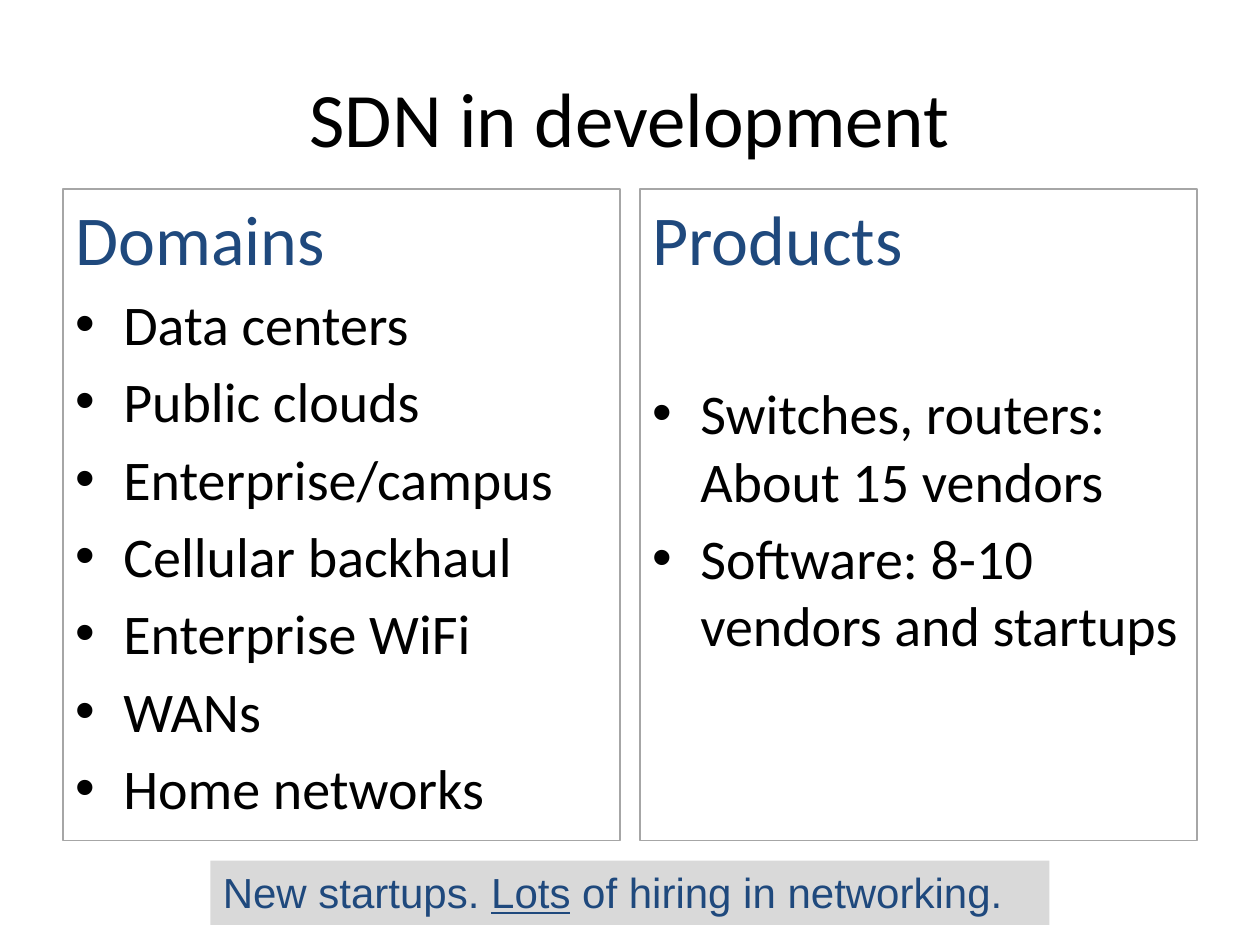
"""Build the slide on SDN in development: two framed lists and a closing note."""
from dataclasses import dataclass

from lxml import etree
from pptx import Presentation
from pptx import util as u
from pptx.dml.color import RGBColor
from pptx.enum import shapes, text
from pptx.oxml.ns import qn

COLOURS = {"ink": "000000", "navy": "1F497D", "frame": "A6A6A6", "band": "D9D9D9"}
MARGIN, PANEL_WIDTH = 0.5, 4.42
INDENT = 0.38
ITEM_GAP = 5.8


@dataclass
class Panel:
    """A framed list with its heading and the gap below that heading in points."""

    heading: str
    items: list[str]
    first_gap: float = ITEM_GAP


PANELS = [
    Panel("Domains", ["Data centers", "Public clouds", "Enterprise/campus", "Cellular backhaul",
                      "Enterprise WiFi", "WANs", "Home networks"]),
    Panel("Products", ["Switches, routers: About 15 vendors",
                       "Software: 8-10 vendors and startups"], first_gap=57),
]


def colour(name: str) -> RGBColor:
    """Look up a named colour."""
    return RGBColor.from_string(COLOURS[name])


def add_box(page, left: float, top: float, width: float, height: float,
            fill: str | None = None, line: str | None = None):
    """Add a plain rectangle that holds top-left text."""
    box = page.shapes.add_shape(shapes.MSO_SHAPE.RECTANGLE, u.Inches(left), u.Inches(top),
                                u.Inches(width), u.Inches(height))
    box.shadow.inherit = False
    if fill:
        box.fill.solid()
        box.fill.fore_color.rgb = colour(fill)
    else:
        box.fill.background()
    if line:
        box.line.color.rgb = colour(line)
        box.line.width = u.Pt(0.75)
    else:
        box.line.fill.background()
    box.text_frame.word_wrap = True
    box.text_frame.vertical_anchor = text.MSO_ANCHOR.TOP
    return box


def write(para, words: str, *, size: float, ink: str = "ink", font: str = "Calibri",
          align=text.PP_ALIGN.LEFT, underline: bool = False) -> None:
    """Append one formatted span to a paragraph."""
    para.alignment = align
    span = para.add_run()
    span.text = words
    span.font.size = u.Pt(size)
    span.font.name = font
    span.font.color.rgb = colour(ink)
    if underline:
        span.font.underline = True


def set_bullet(para) -> None:
    """Give a paragraph a round bullet and a hanging indent."""
    properties = para._p.get_or_add_pPr()
    properties.set("marL", str(u.Inches(INDENT)))
    properties.set("indent", str(-u.Inches(INDENT)))
    etree.SubElement(properties, qn("a:buFont")).set("typeface", "Arial")
    etree.SubElement(properties, qn("a:buChar")).set("char", "•")


def add_panel(page, panel: Panel, left: float) -> None:
    """Draw one framed list."""
    frame = add_box(page, left, 1.5, PANEL_WIDTH, 5.17, line="frame").text_frame
    write(frame.paragraphs[0], panel.heading, size=40, ink="navy")
    for index, item in enumerate(panel.items):
        para = frame.add_paragraph()
        set_bullet(para)
        para.space_before = u.Pt(ITEM_GAP if index else panel.first_gap)
        write(para, item, size=32)


def main() -> None:
    """Build and save the deck."""
    deck = Presentation()
    deck.slide_width, deck.slide_height = u.Inches(10), u.Inches(7.5)
    page = deck.slides.add_slide(deck.slide_layouts[6])

    title = page.shapes.add_textbox(u.Inches(MARGIN), u.Inches(0.3), u.Inches(9), u.Inches(1.25))
    title.text_frame.word_wrap = True
    title.text_frame.vertical_anchor = text.MSO_ANCHOR.MIDDLE
    write(title.text_frame.paragraphs[0], "SDN in development", size=44,
          align=text.PP_ALIGN.CENTER)

    for panel, left in zip(PANELS, (MARGIN, 10 - MARGIN - PANEL_WIDTH)):
        add_panel(page, panel, left)

    note = add_box(page, 1.67, 6.83, 6.66, 0.51, fill="band")
    for words in ("New startups. ", "Lots", " of hiring in networking."):
        write(note.text_frame.paragraphs[0], words, size=24, ink="navy", font="Arial",
              underline=words == "Lots")

    deck.save("out.pptx")


if __name__ == "__main__":
    main()
